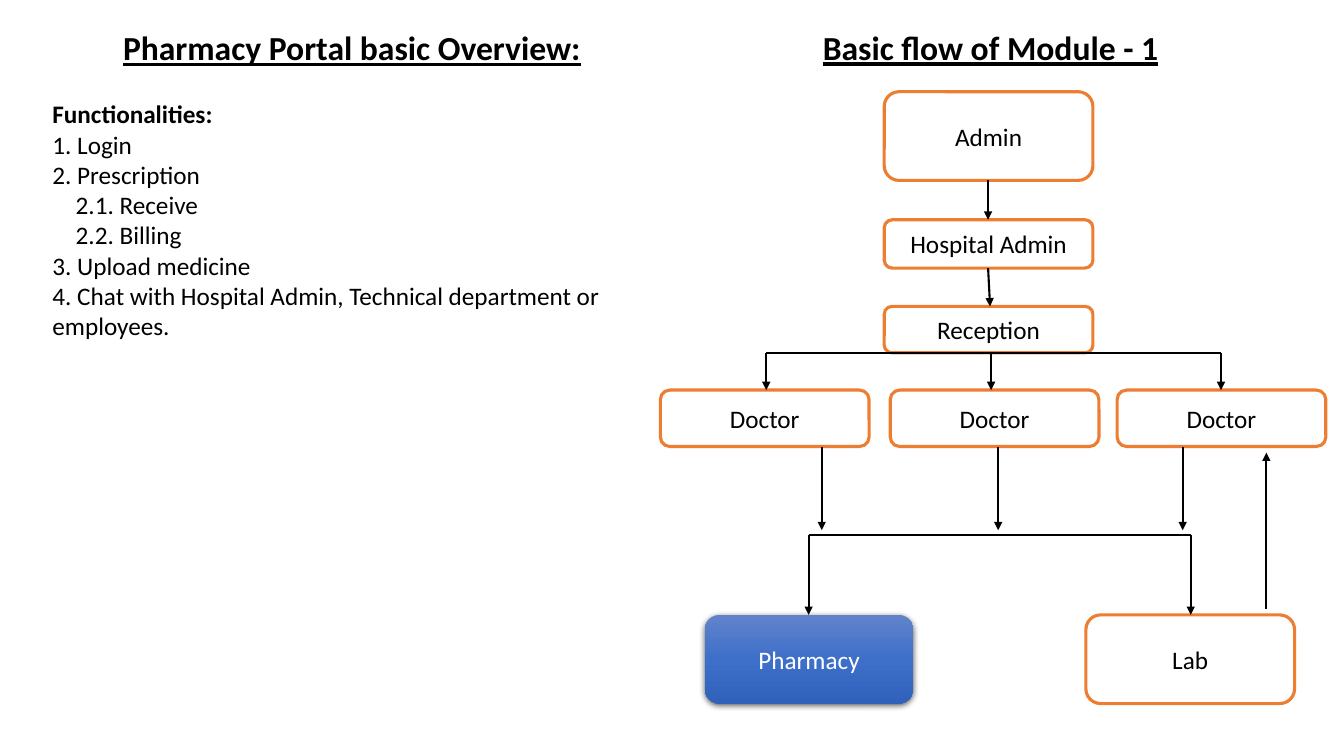
from dataclasses import dataclass
from copy import deepcopy

import pptx
import pptx.util
import pptx.dml.color
import pptx.enum.shapes
import pptx.enum.text
import pptx.oxml
import pptx.oxml.ns
from lxml import etree
from pptx.util import Inches

FONT = "Calibri"
BLACK, WHITE, ORANGE = "000000", "FFFFFF", "ED7D31"
BLUE_GRADIENT = ((0, "6183CB"), (0.5, "3E70CA"), (1, "3062BB"))
NODE_WIDTH = 2.07
ALIGN = pptx.enum.text.PP_ALIGN
ANCHOR = pptx.enum.text.MSO_ANCHOR
qn = pptx.oxml.ns.qn


@dataclass
class Node:
    label: str
    left: float
    top: float
    height: float
    highlighted: bool = False


@dataclass
class Link:
    x1: float
    y1: float
    x2: float
    y2: float
    arrow: bool = True


@dataclass
class Branch:
    """A horizontal bar with an arrow dropping from each x."""
    xs: tuple
    top: float
    bottom: float


@dataclass
class Item:
    text: str
    bold: bool = False
    indent: float = 0


FUNCTIONALITIES = [
    Item("Functionalities:", bold=True),
    Item("1. Login"),
    Item("2. Prescription"),
    Item("2.1. Receive", indent=0.23),
    Item("2.2. Billing", indent=0.23),
    Item("3. Upload medicine"),
    Item("4. Chat with Hospital Admin, Technical department or employees."),
]

NODES = [
    Node("Admin", 8.77, 0.91, 0.88),
    Node("Hospital Admin", 8.77, 2.18, 0.48),
    Node("Reception", 8.77, 3.04, 0.46),
    *(Node("Doctor", left, 3.87, 0.56) for left in (6.55, 8.83, 11.08)),
    Node("Pharmacy", 6.99, 6.1, 0.88, highlighted=True),
    Node("Lab", 10.77, 6.1, 0.88),
]

LINKS = [
    Link(9.8, 1.79, 9.8, 2.18),
    Link(9.8, 2.66, 9.82, 3.04),
    *(Link(x, 4.43, x, 5.26) for x in (8.15, 9.9, 11.73)),
    Link(12.56, 6.04, 12.56, 4.49),
]

BRANCHES = [
    Branch((7.6, 9.83, 12.11), 3.5, 3.87),
    Branch((8.02, 11.81), 5.31, 6.1),
]


def rgb(value: str) -> pptx.dml.color.RGBColor:
    return pptx.dml.color.RGBColor.from_string(value)


def write(paragraph, text: str, *, size: float = 18, color: str = BLACK,
          bold: bool = False, underline: bool = False,
          align=ALIGN.LEFT, indent: float = 0) -> None:
    properties = paragraph._p.get_or_add_pPr()
    properties.set("marL", str(Inches(indent)))
    properties.set("indent", "0")
    etree.SubElement(properties, qn("a:buNone"))
    paragraph.alignment = align
    paragraph.space_before = pptx.util.Pt(0)
    run = paragraph.add_run()
    run.text = text
    run.font.name = FONT
    run.font.size = pptx.util.Pt(size)
    run.font.bold = bold
    run.font.underline = underline
    run.font.color.rgb = rgb(color)


def place(box, left: float, top: float, width: float, height: float) -> None:
    box.left, box.top = Inches(left), Inches(top)
    box.width, box.height = Inches(width), Inches(height)
    box.text_frame.word_wrap = True
    box.text_frame.auto_size = pptx.enum.text.MSO_AUTO_SIZE.NONE
    box.text_frame.vertical_anchor = ANCHOR.TOP


def write_heading(box, text: str) -> None:
    write(box.text_frame.paragraphs[0], text, size=24, bold=True,
          underline=True, align=ALIGN.CENTER)


def highlight(shape) -> None:
    """Blue gradient with a soft shadow below."""
    shape.line.fill.background()
    shape.fill.gradient()
    shape.fill.gradient_angle = 270
    stop_list = shape._element.spPr.find(".//" + qn("a:gsLst"))
    stop_list.insert(1, deepcopy(stop_list[0]))
    for stop, (position, color) in zip(shape.fill.gradient_stops, BLUE_GRADIENT):
        stop.position = position
        stop.color.rgb = rgb(color)
    shape._element.spPr.find(qn("a:effectLst")).append(pptx.oxml.parse_xml(
        f'<a:outerShdw {pptx.oxml.ns.nsdecls("a")} blurRad="57150" dist="19050"'
        ' dir="5400000" algn="ctr" rotWithShape="0">'
        '<a:srgbClr val="000000"><a:alpha val="63000"/></a:srgbClr></a:outerShdw>'))


def draw_node(shapes, node: Node) -> None:
    shape = shapes.add_shape(
        pptx.enum.shapes.MSO_SHAPE.ROUNDED_RECTANGLE, Inches(node.left),
        Inches(node.top), Inches(NODE_WIDTH), Inches(node.height))
    shape.shadow.inherit = False
    if node.highlighted:
        highlight(shape)
    else:
        shape.fill.solid()
        shape.fill.fore_color.rgb = rgb(WHITE)
        shape.line.color.rgb = rgb(ORANGE)
        shape.line.width = pptx.util.Pt(2.25)
    shape.text_frame.vertical_anchor = ANCHOR.MIDDLE
    write(shape.text_frame.paragraphs[0], node.label, align=ALIGN.CENTER,
          color=WHITE if node.highlighted else BLACK)


def draw_link(shapes, link: Link) -> None:
    connector = shapes.add_connector(
        pptx.enum.shapes.MSO_CONNECTOR.STRAIGHT, Inches(link.x1),
        Inches(link.y1), Inches(link.x2), Inches(link.y2))
    connector.line.color.rgb = rgb(BLACK)
    connector.line.width = pptx.util.Pt(1.5)
    if link.arrow:
        outline = connector.line._get_or_add_ln()
        etree.SubElement(outline, qn("a:tailEnd"), type="triangle")
    etree.SubElement(connector._element.spPr, qn("a:effectLst"))


def draw_branch(shapes, branch: Branch) -> None:
    for x in branch.xs:
        draw_link(shapes, Link(x, branch.top, x, branch.bottom))
    draw_link(shapes, Link(branch.xs[0], branch.top, branch.xs[-1],
                           branch.top, arrow=False))


def main() -> None:
    presentation = pptx.Presentation()
    presentation.slide_width = Inches(13.33)
    presentation.slide_height = Inches(7.5)
    slide = presentation.slides.add_slide(presentation.slide_layouts[1])
    shapes = slide.shapes

    # Overview on the left
    overview_heading, functionalities = slide.placeholders
    place(overview_heading, 0.42, 0.22, 6.14, 0.5)
    write_heading(overview_heading, "Pharmacy Portal basic Overview:")
    place(functionalities, 0.42, 0.93, 6.14, 2.82)
    frame = functionalities.text_frame
    for number, item in enumerate(FUNCTIONALITIES):
        paragraph = frame.add_paragraph() if number else frame.paragraphs[0]
        write(paragraph, item.text, bold=item.bold, indent=item.indent)

    # Flow chart on the right
    flow_heading = shapes.add_textbox(0, 0, 0, 0)
    place(flow_heading, 7.51, 0.22, 4.63, 0.5)
    write_heading(flow_heading, "Basic flow of Module - 1")
    for node in NODES:
        draw_node(shapes, node)
    for link in LINKS:
        draw_link(shapes, link)
    for branch in BRANCHES:
        draw_branch(shapes, branch)

    presentation.save("out.pptx")


if __name__ == "__main__":
    main()
